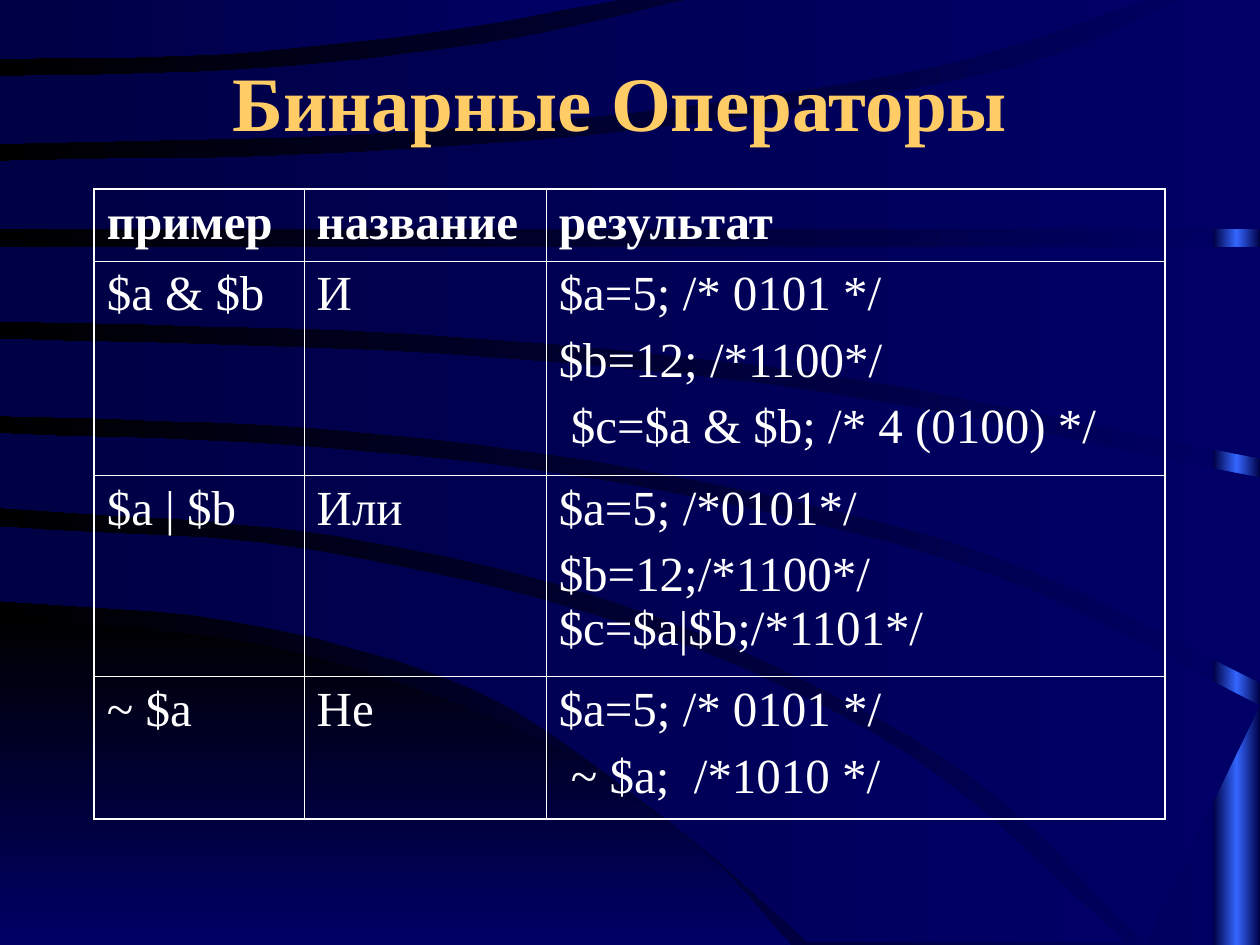
import pptx
import pptx.util
import pptx.dml.color
import pptx.enum.text
import pptx.enum.shapes
import pptx.oxml
from pptx.util import Cm

COLORS = {"navy": "000066", "dark": "000044", "black": "000000",
          "blue": "3366FF", "gold": "FFCC66", "white": "FFFFFF"}
FONT = "Times New Roman"
ALIGN = pptx.enum.text.PP_ALIGN
NS = 'xmlns:a="http://schemas.openxmlformats.org/drawingml/2006/main"'
UNIT = Cm(0.0254)
STEPS = 6

HILL = ([(0, 491), (218, 514), (425, 586), (553, 671), (628, 750)], [(0, 750), (628, 750)])
SWEEPS = [
    ([(0, 418), (249, 437), (515, 502), (727, 603), (893, 748)],
     [(0, 477), (185, 493), (376, 547), (529, 650), (642, 748)]),
    ([(0, 344), (249, 355), (521, 389), (789, 457), (1000, 560)],
     [(0, 403), (267, 425), (521, 489), (756, 606), (909, 748)]),
    ([(0, 269), (349, 281), (662, 313), (1000, 379)],
     [(0, 330), (255, 340), (512, 373), (782, 439), (1000, 542)]),
    ([(0, 196), (1000, 196)],
     [(0, 255), (332, 265), (662, 298), (1000, 364)]),
    ([(0, 128), (286, 121), (554, 98), (803, 54), (943, -2)],
     [(0, 182), (1000, 182), (1000, -2)]),
    ([(0, 61), (197, 55), (383, 35), (556, -2)],
     [(0, 114), (270, 107), (504, 89), (741, 53), (917, -2)]),
    ([(0, -2), (501, -2)],
     [(0, 47), (173, 43), (346, 25), (501, -2)]),
]

ROWS = [
    ["пример", "название", "результат"],
    ["$a & $b", "И", "$a=5; /* 0101 */\n$b=12; /*1100*/\n $c=$a & $b; /* 4 (0100) */"],
    ["$a | $b", "Или", "$a=5; /*0101*/ \n$b=12;/*1100*/ $c=$a|$b;/*1101*/ "],
    ["~ $a", "Не", "$a=5; /* 0101 */\n ~ $a;  /*1010 */"],
]
LEFT_CELLS = {(0, 1), (1, 0), (1, 2), (2, 0), (3, 2)}
COL_WIDTHS = [4.23, 4.88, 12.48]
ROW_HEIGHTS = [1.45, 4.32, 4.06, 2.87]


def rgb(name):
    return pptx.dml.color.RGBColor.from_string(COLORS[name])


def set_gradient(fill, names, angle):
    fill.gradient()
    fill.gradient_angle = angle
    stops = fill._fill._gradFill.gsLst
    for stop in list(stops):
        stops.remove(stop)
    for i, name in enumerate(names):
        pos = 100000 * i // (len(names) - 1)
        stops.append(pptx.oxml.parse_xml(
            f'<a:gs {NS} pos="{pos}"><a:srgbClr val="{COLORS[name]}"/></a:gs>'))


def finish_shape(sp, names, angle):
    sp.shadow.inherit = False
    sp.line.fill.background()
    set_gradient(sp.fill, names, angle)


def spline(a, b, c, d, t):
    return (2 * b + (c - a) * t + (2 * a - 5 * b + 4 * c - d) * t ** 2
            + (3 * b - a - 3 * c + d) * t ** 3) / 2


def smooth(anchors):
    if len(anchors) < 4:
        return anchors
    ends = [tuple(2 * u - v for u, v in zip(p, q))
            for p, q in (anchors[:2], anchors[:-3:-1])]
    knots = [ends[0], *anchors, ends[1]]
    curve = [tuple(spline(*axis, k / STEPS) for axis in zip(*knots[i:i + 4]))
             for i in range(len(anchors) - 1) for k in range(STEPS)]
    return curve + [anchors[-1]]


def add_band(s, edges, names, angle):
    upper, lower = map(smooth, edges)
    points = upper + lower[::-1]
    builder = s.shapes.build_freeform(*points[0], scale=UNIT)
    builder.add_line_segments(points[1:], close=True)
    finish_shape(builder.convert_to_shape(), names, angle)


def add_backdrop(s):
    set_gradient(s.background.fill, ["navy", "black"], 180)
    bar = s.shapes.add_shape(pptx.enum.shapes.MSO_SHAPE.RECTANGLE,
                             Cm(24.46), 0, Cm(0.94), Cm(19.05))
    finish_shape(bar, ["dark", "blue", "dark"], 180)
    add_band(s, HILL, ["black", "navy"], 270)
    for edges in SWEEPS:
        add_band(s, edges, ["navy", "dark"], 180)


def write_text(tf, text, size=28, color="white", bold=False, align=ALIGN.LEFT, gap=7):
    for i, line in enumerate(text.split("\n")):
        p = tf.add_paragraph() if i else tf.paragraphs[0]
        p.alignment = align
        p.space_before = pptx.util.Pt(gap if i else 0)
        r = p.add_run()
        r.text = line
        r.font.name = FONT
        r.font.size = pptx.util.Pt(size)
        r.font.bold = bold
        r.font.color.rgb = rgb(color)


def add_title(s, text):
    title = s.shapes.title
    s.shapes._spTree.append(title._element)
    title.left, title.top, title.width, title.height = Cm(1.9), Cm(0.43), Cm(21.59), Cm(3.18)
    title.text_frame.vertical_anchor = pptx.enum.text.MSO_ANCHOR.MIDDLE
    write_text(title.text_frame, text, size=44, color="gold", bold=True, align=ALIGN.CENTER)


def set_borders(cell, outer):
    tc_pr = cell._tc.get_or_add_tcPr()
    for side in "LRTB":
        width = pptx.util.Pt(1.08 if side in outer else 0.45)
        tc_pr.append(pptx.oxml.parse_xml(
            f'<a:ln{side} {NS} w="{width}"><a:solidFill><a:srgbClr val="{COLORS["white"]}"/>'
            f'</a:solidFill></a:ln{side}>'))


def add_operator_table(s):
    table = s.shapes.add_table(len(ROWS), len(COL_WIDTHS), Cm(1.9), Cm(3.81),
                               Cm(sum(COL_WIDTHS)), Cm(sum(ROW_HEIGHTS))).table
    table.horz_banding = False
    for column, width in zip(table.columns, COL_WIDTHS):
        column.width = Cm(width)
    for i, texts in enumerate(ROWS):
        table.rows[i].height = Cm(ROW_HEIGHTS[i])
        for j, text in enumerate(texts):
            cell = table.cell(i, j)
            edges = {"T": i == 0, "B": i == len(ROWS) - 1,
                     "L": j == 0, "R": j == len(texts) - 1}
            set_borders(cell, [side for side, on in edges.items() if on])
            cell.fill.background()
            align = ALIGN.LEFT if (i, j) in LEFT_CELLS else ALIGN.JUSTIFY
            write_text(cell.text_frame, text, bold=i == 0, align=align)


def main():
    prs = pptx.Presentation()
    prs.slide_width, prs.slide_height = Cm(25.4), Cm(19.05)
    s = prs.slides.add_slide(prs.slide_layouts[5])
    add_backdrop(s)
    add_title(s, "Бинарные Операторы ")
    add_operator_table(s)
    prs.save("out.pptx")


if __name__ == "__main__":
    main()
